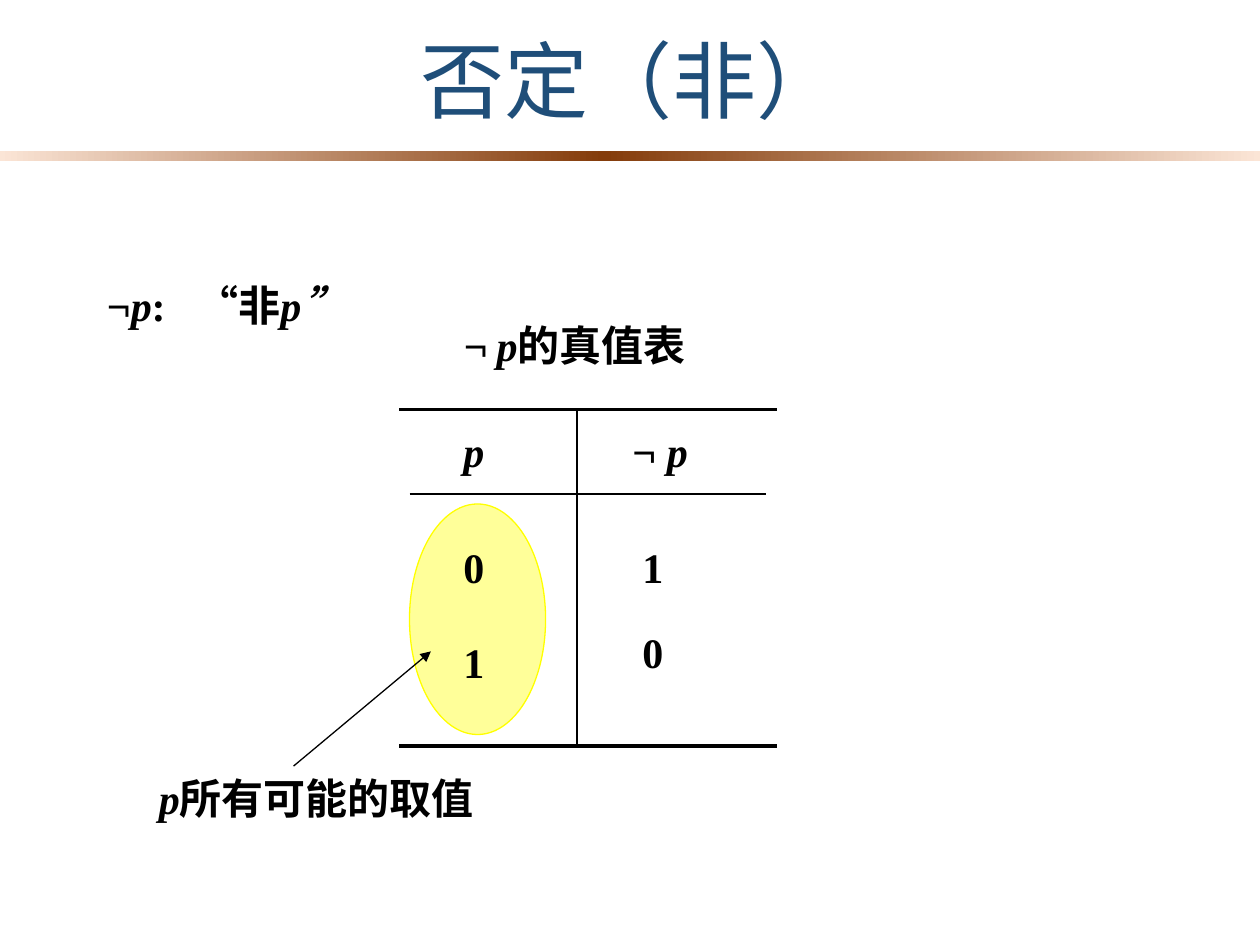
from dataclasses import dataclass

from pptx import Presentation
from pptx import util as u
from pptx.dml.color import RGBColor
from pptx.enum import shapes, text
from pptx.oxml.ns import qn
from lxml import etree


@dataclass
class Theme:
    ink: str = "000000"
    head: str = "1F4E79"
    edge: str = "FBE5D6"
    core: str = "843C0B"
    glow: str = "FFFF99"
    rim: str = "FFFF00"
    serif: str = "Times New Roman"
    sans: str = "Arial"
    han: str = "Noto Sans CJK SC"
    title: int = 48
    body: int = 24
    small: int = 20
    thin: float = 0.75
    thick: float = 2.25


def rgb(code):
    return RGBColor.from_string(code)


def inch(*nums):
    return [u.Inches(n) for n in nums]


class Deck:
    def __init__(self, theme):
        self.theme = theme
        self.prs = Presentation()
        self.prs.slide_width, self.prs.slide_height = inch(10, 7.5)
        self.slide = self.prs.slides.add_slide(self.prs.slide_layouts[6])

    def run(self, para, words, size, face, color, bold=False, slant=False):
        run = para.add_run()
        run.text = words
        font = run.font
        font.size, font.name = u.Pt(size), face
        font.bold, font.italic = bold, slant
        font.color.rgb = rgb(color)
        east = etree.SubElement(run._r.get_or_add_rPr(), qn("a:ea"))
        east.set("typeface", self.theme.han)

    def box(self, left, top, width, height):
        frame = self.slide.shapes.add_textbox(*inch(left, top, width, height)).text_frame
        frame.word_wrap = True
        return frame

    def title(self, words, *place):
        t = self.theme
        frame = self.box(*place)
        frame.vertical_anchor = text.MSO_ANCHOR.MIDDLE
        para = frame.paragraphs[0]
        para.alignment = text.PP_ALIGN.CENTER
        para.line_spacing = 0.9
        self.run(para, words, t.title, t.sans, t.head)

    def label(self, left, top, width, *runs, tab=None):
        t = self.theme
        frame = self.box(left, top, width, 0.5)
        frame.auto_size = text.MSO_AUTO_SIZE.SHAPE_TO_FIT_TEXT
        para = frame.paragraphs[0]
        if tab:
            stops = etree.SubElement(para._p.get_or_add_pPr(), qn("a:tabLst"))
            stop = etree.SubElement(stops, qn("a:tab"))
            stop.set("pos", str(u.Inches(tab)))
            stop.set("algn", "l")
        for words, slant, *size in runs:
            self.run(para, words, size[0] if size else t.body, t.serif, t.ink, True, slant)

    def band(self, *place):
        t = self.theme
        bar = self.slide.shapes.add_shape(shapes.MSO_SHAPE.RECTANGLE, *inch(*place))
        bar.shadow.inherit = False
        bar.line.fill.background()
        bar.fill.gradient()
        bar.fill.gradient_angle = 0
        stops = bar.fill._fill._gradFill.find(qn("a:gsLst"))
        for stop in list(stops):
            stops.remove(stop)
        for spot, color in ((0, t.edge), (48, t.core), (100, t.edge)):
            stop = etree.SubElement(stops, qn("a:gs"), pos=str(spot * 1000))
            etree.SubElement(stop, qn("a:srgbClr"), val=color)

    def oval(self, *place):
        oval = self.slide.shapes.add_shape(shapes.MSO_SHAPE.OVAL, *inch(*place))
        oval.shadow.inherit = False
        oval.fill.solid()
        oval.fill.fore_color.rgb = rgb(self.theme.glow)
        oval.line.color.rgb = rgb(self.theme.rim)
        oval.line.width = u.Pt(self.theme.thin)

    def rule(self, x1, y1, x2, y2, width, arrow=False):
        link = self.slide.shapes.add_connector(
            shapes.MSO_CONNECTOR.STRAIGHT, *inch(x1, y1, x2, y2))
        link.line.color.rgb = rgb(self.theme.ink)
        link.line.width = u.Pt(width)
        if arrow:
            etree.SubElement(link.line._get_or_add_ln(), qn("a:tailEnd"), type="triangle")
        etree.SubElement(link._element.spPr, qn("a:effectLst"))


def main():
    t = Theme()
    deck = Deck(t)
    deck.band(-0.01, 1.2, 10.01, 0.08)
    deck.title("否定（非）", 0.9, 0.19, 8.21, 0.97)
    deck.oval(3.25, 4, 1.08, 1.83)
    deck.label(0.75, 2.17, 5.17, ("¬", False), ("p", True), (":\t“非", False),
               ("p”", True), tab=0.71)

    top, low = 3.25, 5.92
    for y in (top, low):
        deck.rule(3.17, y, 6.17, y, t.thick)
    deck.rule(4.58, top, 4.58, low, t.thin)
    deck.rule(3.25, 3.92, 6.08, 3.92, t.thin)

    deck.label(3.58, 3.33, 0.75, ("p", True))
    deck.label(4.92, 3.33, 1.25, ("¬ ", False), ("p", True))
    for x, y, value in ((3.58, 4.25, "0"), (3.58, 5, "1"), (5, 4.25, "1"), (5, 4.92, "0")):
        deck.label(x, y, 0.75, (value, False))

    deck.label(3.5, 2.49, 3.24, (" ", True), ("¬", False), (" ", True, t.small),
               ("p", True), ("的真值表", False))
    deck.label(1.08, 6.08, 3.5, (" ", False), ("p", True), ("所有可能的取值", False))
    deck.rule(2.33, 6.08, 3.42, 5.17, t.thin, arrow=True)
    deck.prs.save("out.pptx")


if __name__ == "__main__":
    main()
